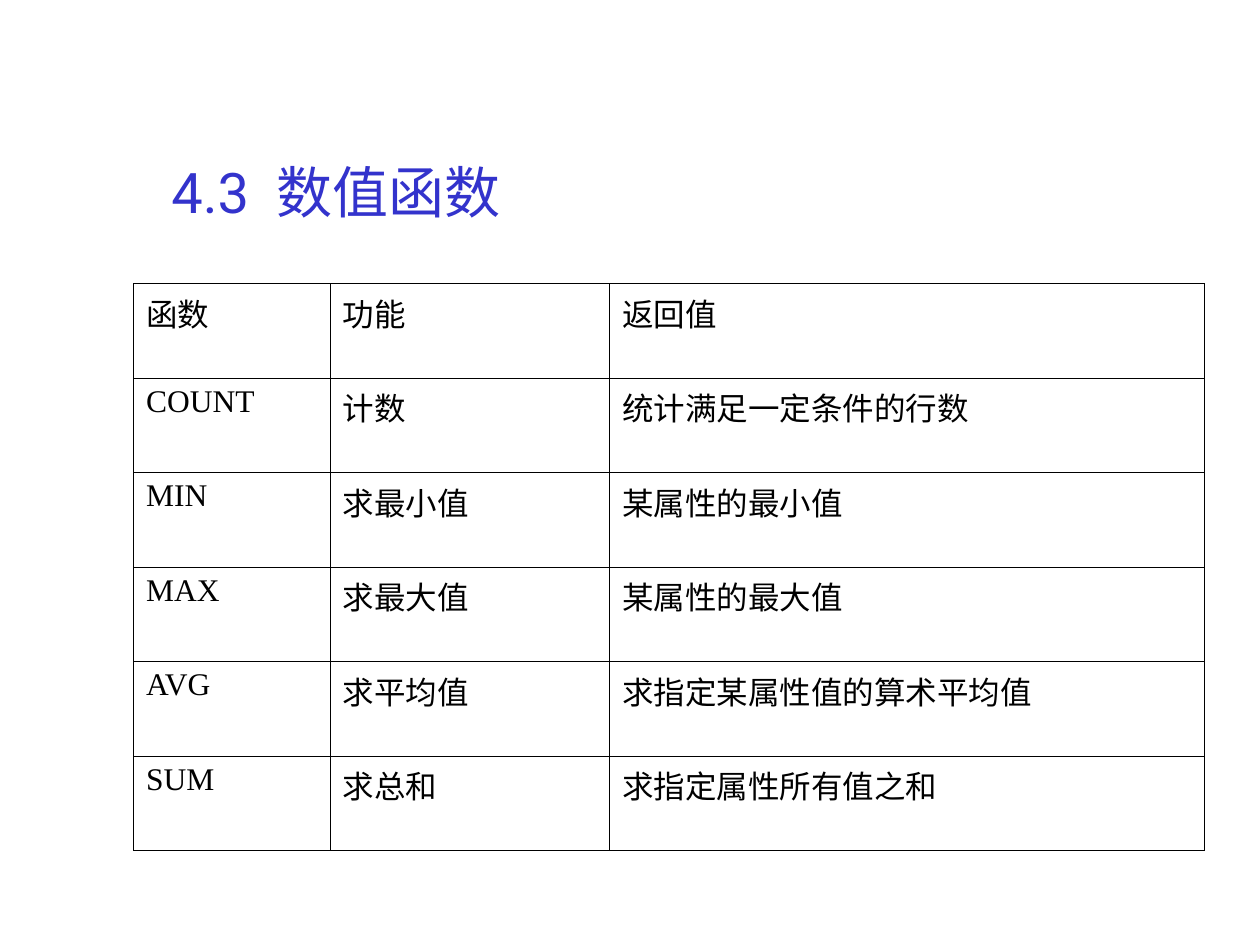
from lxml import etree
from pptx import Presentation
from pptx.dml.color import RGBColor
from pptx.enum.text import MSO_ANCHOR, MSO_AUTO_SIZE, PP_ALIGN
from pptx.oxml.ns import qn
from pptx.util import Inches, Pt

BLUE = RGBColor(0x33, 0x33, 0xCC)
BLACK = RGBColor(0, 0, 0)
LEFT = PP_ALIGN.LEFT
BOTTOM = MSO_ANCHOR.BOTTOM
NO_FIT = MSO_AUTO_SIZE.NONE
TITLE_ONLY = 5

COLS = (1.56, 2.22, 4.72)
ROW = 0.75
ROWS = (
    ("函数", "功能", "返回值"),
    ("COUNT", "计数", "统计满足一定条件的行数"),
    ("MIN", "求最小值", "某属性的最小值"),
    ("MAX", "求最大值", "某属性的最大值"),
    ("AVG", "求平均值", "求指定某属性值的算术平均值"),
    ("SUM", "求总和", "求指定属性所有值之和"),
)


class Deck:
    head = "Roboto"
    body = "Times New Roman"
    rule = Pt(0.45)

    def __init__(self, prs):
        self.slide = prs.slides.add_slide(prs.slide_layouts[TITLE_ONLY])

    def label(self, frame, text, font, size, color):
        frame.text = text
        para = frame.paragraphs[0]
        para.alignment = LEFT
        para.font.name = font
        para.font.size = Pt(size)
        para.font.color.rgb = color

    def title(self, text, left, top, width, height):
        shape = self.slide.shapes.title
        shape.left, shape.top = Inches(left), Inches(top)
        shape.width, shape.height = Inches(width), Inches(height)
        frame = shape.text_frame
        frame.auto_size = NO_FIT
        frame.vertical_anchor = BOTTOM
        self.label(frame, text, self.head, 32, BLUE)

    def border(self, cell):
        props = cell._tc.get_or_add_tcPr()
        for spot, side in enumerate(("lnL", "lnR", "lnT", "lnB")):
            line = etree.Element(qn(f"a:{side}"), w=str(self.rule))
            fill = etree.SubElement(line, qn("a:solidFill"))
            etree.SubElement(fill, qn("a:srgbClr"), val=str(BLACK))
            props.insert(spot, line)

    def table(self, rows, cols, left, top, height):
        frame = self.slide.shapes.add_table(
            len(rows), len(cols), Inches(left), Inches(top),
            Inches(sum(cols)), Inches(height * len(rows)))
        table = frame.table
        table.first_row = table.horz_banding = False
        for col, width in zip(table.columns, cols):
            col.width = Inches(width)
        for row, texts in zip(table.rows, rows):
            row.height = Inches(height)
            for cell, text in zip(row.cells, texts):
                cell.fill.background()
                self.border(cell)
                self.label(cell.text_frame, text, self.body, 18, BLACK)


def main():
    prs = Presentation()
    prs.slide_width, prs.slide_height = Inches(10), Inches(7.5)
    deck = Deck(prs)
    deck.title("4.3  数值函数", 1.26, 0.23, 8.52, 1.6)
    deck.table(ROWS, COLS, 1.06, 2.25, ROW)
    prs.save("out.pptx")


if __name__ == "__main__":
    main()
